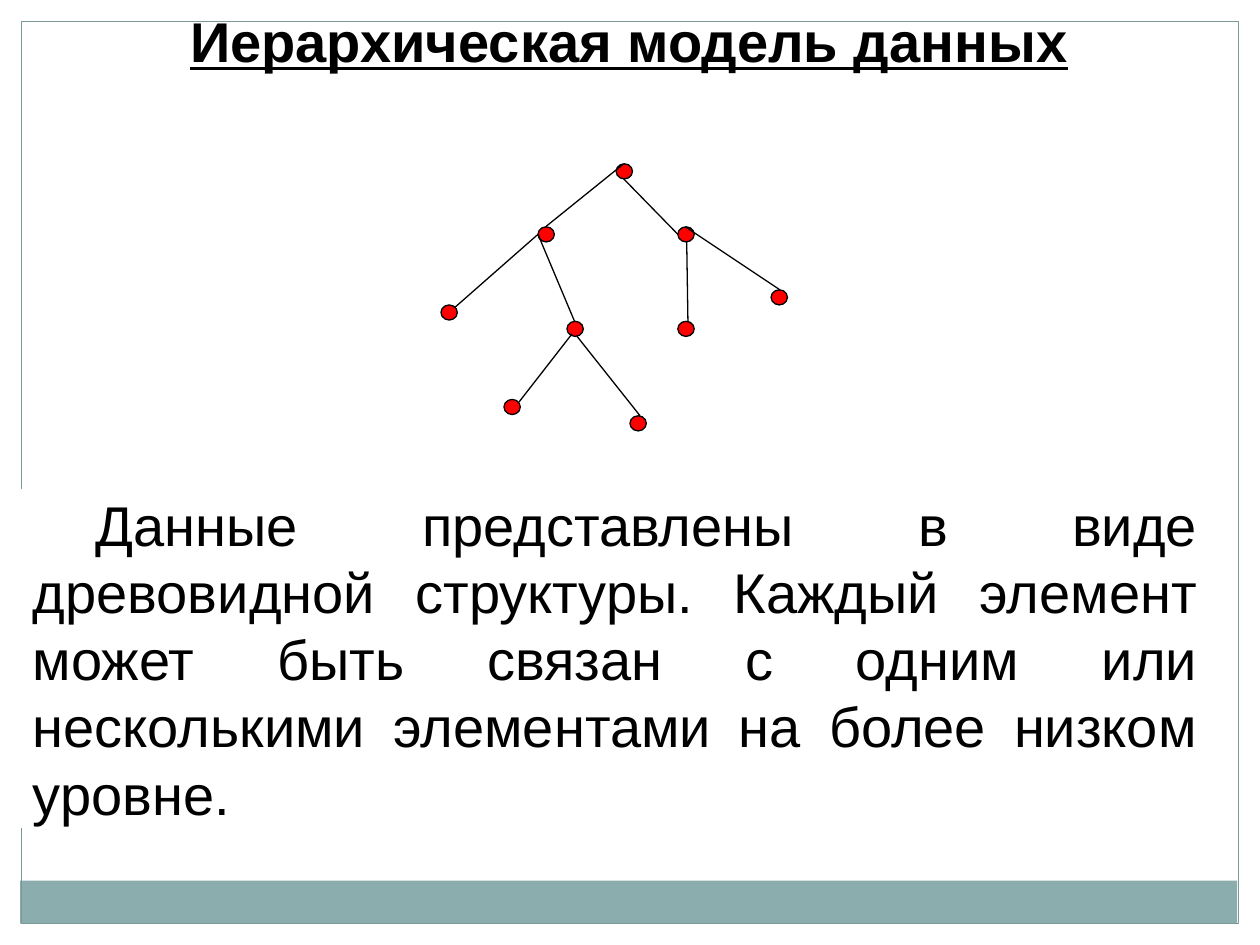
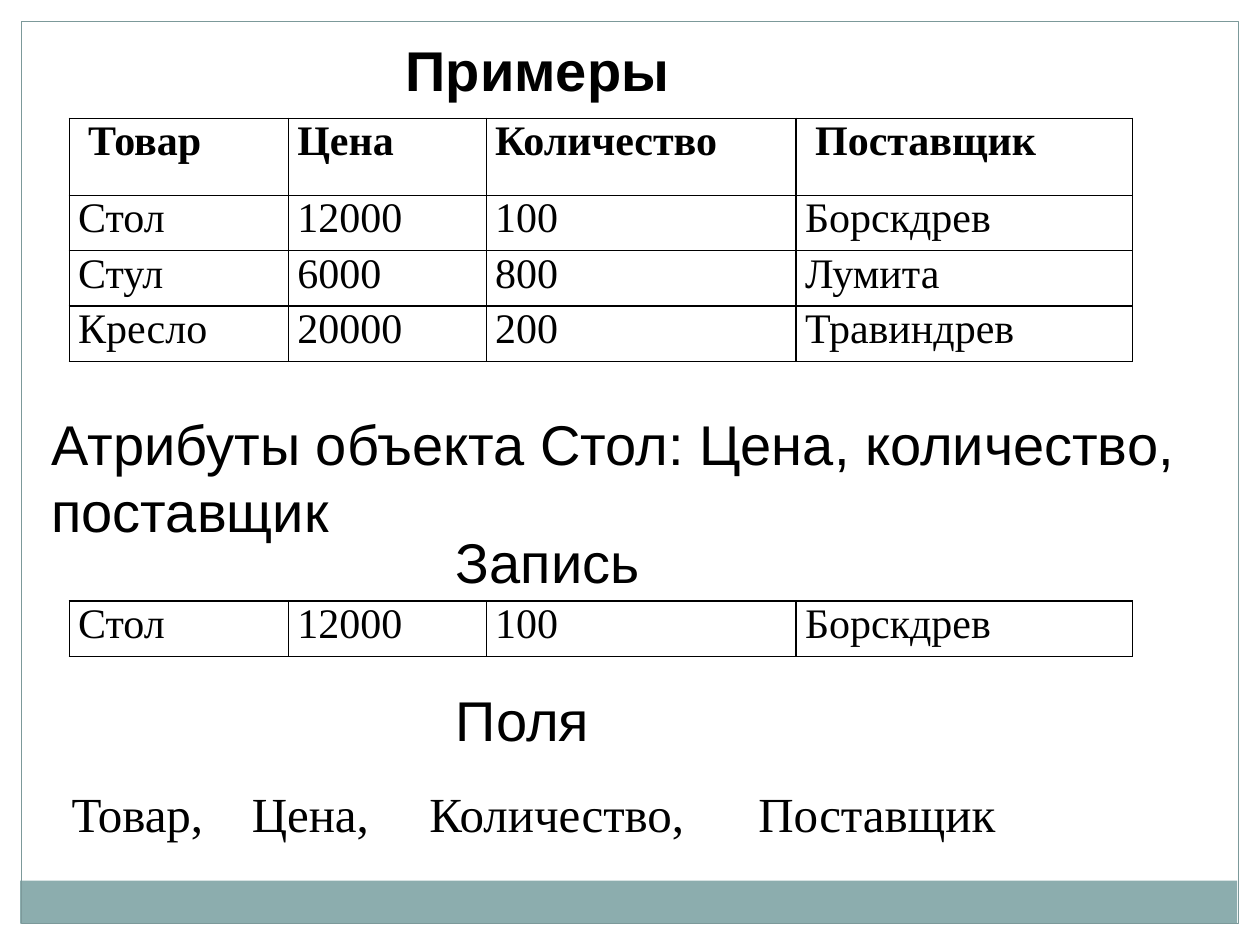
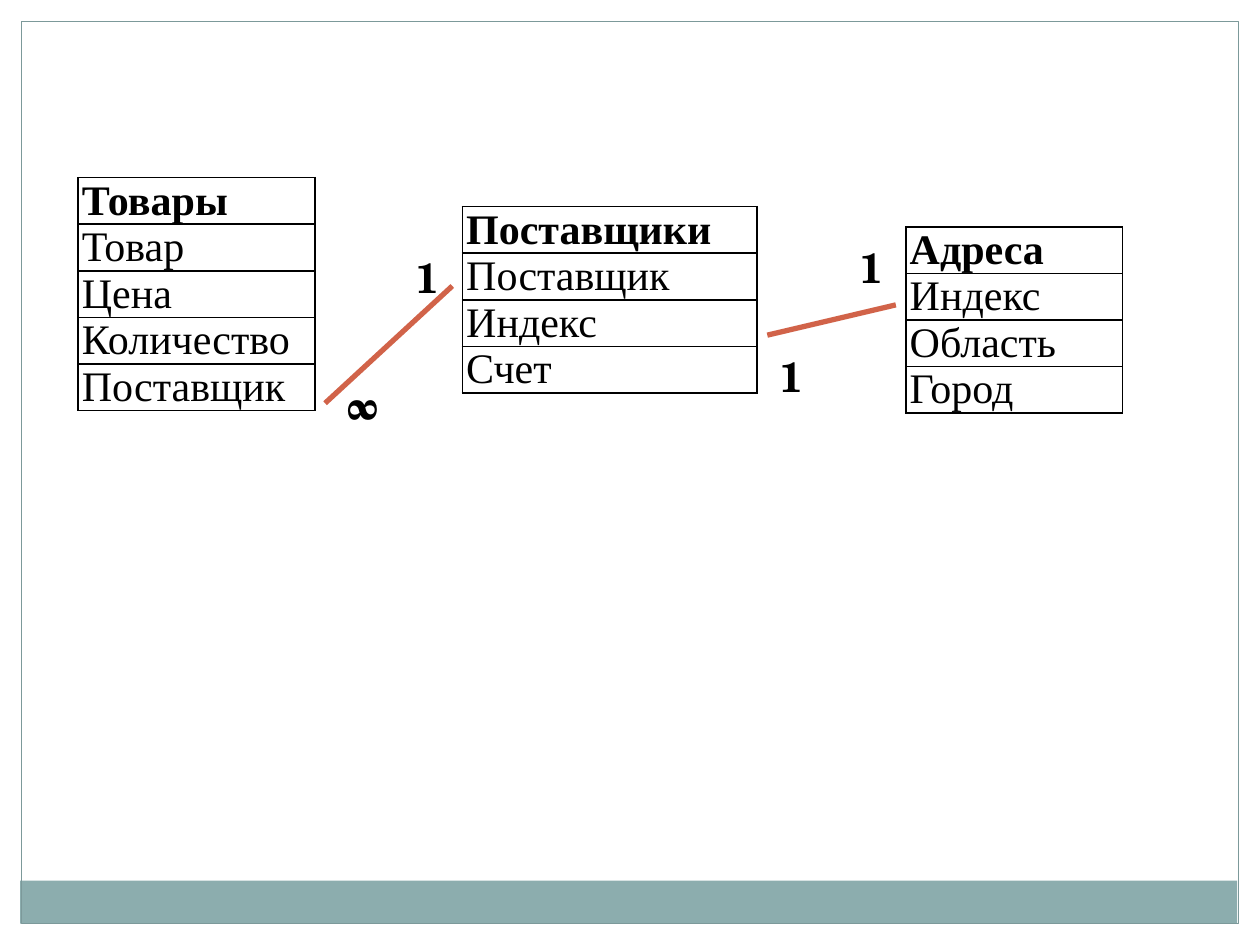
"""Build three slides on data models: a tree, sample tables and linked tables."""
import pptx
import pptx.util
import pptx.dml.color
import pptx.enum.shapes
import pptx.enum.text
import pptx.oxml
import pptx.oxml.ns
import lxml.etree
import dataclasses

Inches = pptx.util.Inches
Pt = pptx.util.Pt
Kind = pptx.enum.shapes.MSO_SHAPE
Align = pptx.enum.text.PP_ALIGN
Anchor = pptx.enum.text.MSO_ANCHOR
Fit = pptx.enum.text.MSO_AUTO_SIZE
qn = pptx.oxml.ns.qn


@dataclasses.dataclass(frozen=True)
class Theme:
    """Hold the colours, fonts and type sizes of the deck."""
    ink: str = "000000"
    paper: str = "FFFFFF"
    band: str = "8CADAE"
    edge: str = "7C999A"
    node: str = "FF0000"
    link: str = "D16349"
    sans: str = "Arial"
    serif: str = "Times New Roman"
    mark: str = "TeX Gyre Schola"
    big: int = 32
    mid: int = 28
    small: int = 24
    thin: float = 0.75
    rule: float = 1
    thick: float = 3


T = Theme()

TREE = {
    "title": ("Иерархическая модель данных", (1.41, 0, 7.22, 0.64)),
    "body": "Данные представлены в виде древовидной структуры. Каждый элемент может быть "
            "связан с одним или несколькими элементами на более низком уровне.",
    "place": (0.16, 3.83, 9.45, 2.79),
    "nodes": [(4.89, 1.3), (4.27, 1.8), (5.38, 1.8), (3.5, 2.42), (4.5, 2.55),
              (5.38, 2.55), (6.12, 2.3), (4, 3.17), (5, 3.3)],
    "edges": [(4.95, 1.3, 4.33, 1.8), (4.95, 1.42, 5.38, 1.86), (4.27, 1.86, 3.61, 2.44),
              (4.27, 1.86, 4.56, 2.55), (5.45, 1.92, 5.46, 2.55), (5.44, 1.8, 6.19, 2.3),
              (4.54, 2.65, 4.12, 3.19), (4.58, 2.67, 5.08, 3.3)],
}
NODE = (0.13, 0.12)

HEAD = ["Товар", "Цена", "Количество", "Поставщик"]
GOODS = [
    ["Стол", "12000", "100", "Борскдрев"],
    ["Стул", "6000", "800", "Лумита"],
    ["Кресло", "20000", "200", "Травиндрев"],
]
COLS = [1.74, 1.57, 2.46, 2.67]
SAMPLE = ("Примеры", (3.12, 0.23, 2.31, 0.64))
NOTES = [
    ("Атрибуты объекта Стол: Цена, количество, поставщик", (0.31, 3.2, 9.53, 1.18), True),
    ("Запись", (3.52, 4.14, 1.67, 0.64), False),
    ("Поля", (3.52, 5.39, 1.27, 0.64), False),
]
FIELDS = ((0.47, 6.17, 7.63, 0.57), [1.43, 2.84, 5.45])

LISTS = [
    (0.62, 1.41, 1.88, ["Товары"] + HEAD),
    (3.67, 1.64, 2.34, ["Поставщики", "Поставщик", "Индекс", "Счет"]),
    (7.19, 1.8, 1.72, ["Адреса", "Индекс", "Область", "Город"]),
]
LINKS = [(2.58, 3.2, 3.59, 2.27), (6.09, 2.66, 7.11, 2.42)]
MARKS = [("1", (3.2, 1.95, 0.31, 0.5)), ("1", (6.72, 1.87, 0.31, 0.5)),
         ("∞", (2.66, 2.97, 0.47, 0.5)), ("1", (6.09, 2.73, 0.37, 0.5))]


def rgb(code):
    """Turn a hex code into a colour."""
    return pptx.dml.color.RGBColor.from_string(code)


def span(box):
    """Turn plain numbers into lengths."""
    return [Inches(n) for n in box]


def put(part, box):
    """Move a shape to its box."""
    part.left, part.top, part.width, part.height = span(box)


def write(para, text, size, font, bold=False, line=False):
    """Add one formatted run."""
    run = para.add_run()
    run.text = text
    run.font.size, run.font.name = Pt(size), font
    run.font.bold, run.font.underline = bold, line
    run.font.color.rgb = rgb(T.ink)


def setup(frame, wrap, anchor=Anchor.TOP):
    """Set wrap, fit and anchor, and give the first paragraph."""
    frame.word_wrap = wrap
    frame.auto_size = Fit.SHAPE_TO_FIT_TEXT
    frame.vertical_anchor = anchor
    para = frame.paragraphs[0]
    para.alignment = Align.LEFT
    return para


def label(slide, box, text, size=T.big, font=T.sans, bold=False, wrap=False):
    """Add a text box and give its paragraph."""
    para = setup(slide.shapes.add_textbox(*span(box)).text_frame, wrap)
    write(para, text, size, font, bold)
    return para


def title(slide, text, box, line=False):
    """Fill and place the title."""
    put(slide.shapes.title, box)
    para = setup(slide.shapes.title.text_frame, False)
    write(para, text, T.big, T.sans, True, line)


def shape(shapes, kind, box, fill=None, line=None):
    """Add a flat preset shape."""
    part = shapes.add_shape(kind, *span(box))
    part.shadow.inherit = False
    if fill:
        part.fill.solid()
        part.fill.fore_color.rgb = rgb(fill)
    else:
        part.fill.background()
    if line:
        part.line.color.rgb, part.line.width = rgb(line), Pt(T.thin)
    else:
        part.line.fill.background()
    return part


def wire(shapes, ends, color, width):
    """Add a flat straight line."""
    part = shapes.add_connector(pptx.enum.shapes.MSO_CONNECTOR.STRAIGHT, *span(ends))
    part.line.color.rgb, part.line.width = rgb(color), Pt(width)
    lxml.etree.SubElement(part.element.spPr, qn("a:effectLst"))


def border(cell):
    """Rule all four sides of a cell."""
    props = cell._tc.get_or_add_tcPr()
    for spot, side in enumerate("LRTB"):
        line = lxml.etree.Element(qn("a:ln" + side), w=str(Pt(T.rule)))
        fill = lxml.etree.SubElement(line, qn("a:solidFill"))
        lxml.etree.SubElement(fill, qn("a:srgbClr"), val=T.ink)
        props.insert(spot, line)


def table(slide, left, top, cols, highs, rows, pad, align, head=True):
    """Add a ruled table and give it back."""
    box = (left, top, sum(cols), sum(highs))
    grid = slide.shapes.add_table(len(rows), len(cols), *span(box)).table
    grid.first_row = grid.horz_banding = False
    for col, wide in zip(grid.columns, cols):
        col.width = Inches(wide)
    for y, (row, high) in enumerate(zip(rows, highs)):
        grid.rows[y].height = Inches(high)
        for x, text in enumerate(row):
            cell = grid.cell(y, x)
            cell.margin_left = cell.margin_right = Inches(pad)
            cell.margin_top = cell.margin_bottom = 0
            cell.fill.background()
            border(cell)
            para = cell.text_frame.paragraphs[0]
            para.alignment = align
            write(para, text, T.small, T.serif, head and y == 0)
    return grid


def frame(deck, slide):
    """Draw the shared band and border and hand them to the master."""
    parts = [
        shape(slide.shapes, Kind.RECTANGLE, (0.16, 6.99, 9.66, 0.34), T.band),
        shape(slide.shapes, Kind.RECTANGLE, (0.17, 0.17, 9.66, 7.16), None, T.edge),
    ]
    for spot, part in enumerate(parts):
        part.element.nvSpPr.cNvPr.set("id", str(100 + spot))
        deck.slide_master.shapes.element.insert(2 + spot, part.element)


def tree(slide):
    """Build the tree slide."""
    text, box = TREE["title"]
    title(slide, text, box, True)
    body = slide.placeholders[1]
    put(body, TREE["place"])
    body.fill.solid()
    body.fill.fore_color.rgb = rgb(T.paper)
    para = setup(body.text_frame, True, Anchor.MIDDLE)
    para.alignment, para.space_before = Align.JUSTIFY, Pt(0)
    props = para._p.get_or_add_pPr()
    props.set("marL", "0")
    props.set("indent", str(Inches(0.5)))
    lxml.etree.SubElement(props, qn("a:buNone"))
    write(para, TREE["body"], T.big, T.sans)
    group = slide.shapes.add_group_shape()
    for spot in TREE["nodes"]:
        shape(group.shapes, Kind.FLOWCHART_CONNECTOR, spot + NODE, T.node, T.ink)
    for ends in TREE["edges"]:
        wire(group.shapes, ends, T.ink, T.thin)


def sample(slide):
    """Build the slide with sample rows."""
    title(slide, *SAMPLE)
    grid = table(slide, 0.55, 0.94, COLS, [0.61] + [0.44] * len(GOODS), [HEAD] + GOODS,
                 0.07, Align.JUSTIFY)
    for x in (0, len(COLS) - 1):
        grid.cell(0, x).margin_left = Inches(0.15)
    table(slide, 0.55, 4.77, COLS, [0.44], GOODS[:1], 0.07, Align.JUSTIFY, False)
    for text, box, wrap in NOTES:
        label(slide, box, text, wrap=wrap)
    box, stops = FIELDS
    para = label(slide, box, ",\t".join(HEAD), T.mid, T.serif, wrap=True)
    tabs = lxml.etree.SubElement(para._p.get_or_add_pPr(), qn("a:tabLst"))
    for stop in stops:
        lxml.etree.SubElement(tabs, qn("a:tab"), pos=str(Inches(stop)), algn="l")


def linked(slide):
    """Build the slide with linked tables."""
    for left, top, wide, names in LISTS:
        table(slide, left, top, [wide], [0.37] * len(names), [[n] for n in names],
              0.03, Align.LEFT)
    for ends in LINKS:
        wire(slide.shapes, ends, T.link, T.thick)
    for text, box in MARKS:
        label(slide, box, text, T.small, T.mark, True)


def main():
    """Build and save the deck."""
    deck = pptx.Presentation()
    deck.slide_width, deck.slide_height = Inches(10), Inches(7.5)
    for spot, (build, kind) in enumerate([(tree, 1), (sample, 5), (linked, 6)]):
        slide = deck.slides.add_slide(deck.slide_layouts[kind])
        if spot == 0:
            frame(deck, slide)
        build(slide)
    deck.save("out.pptx")


if __name__ == "__main__":
    main()
